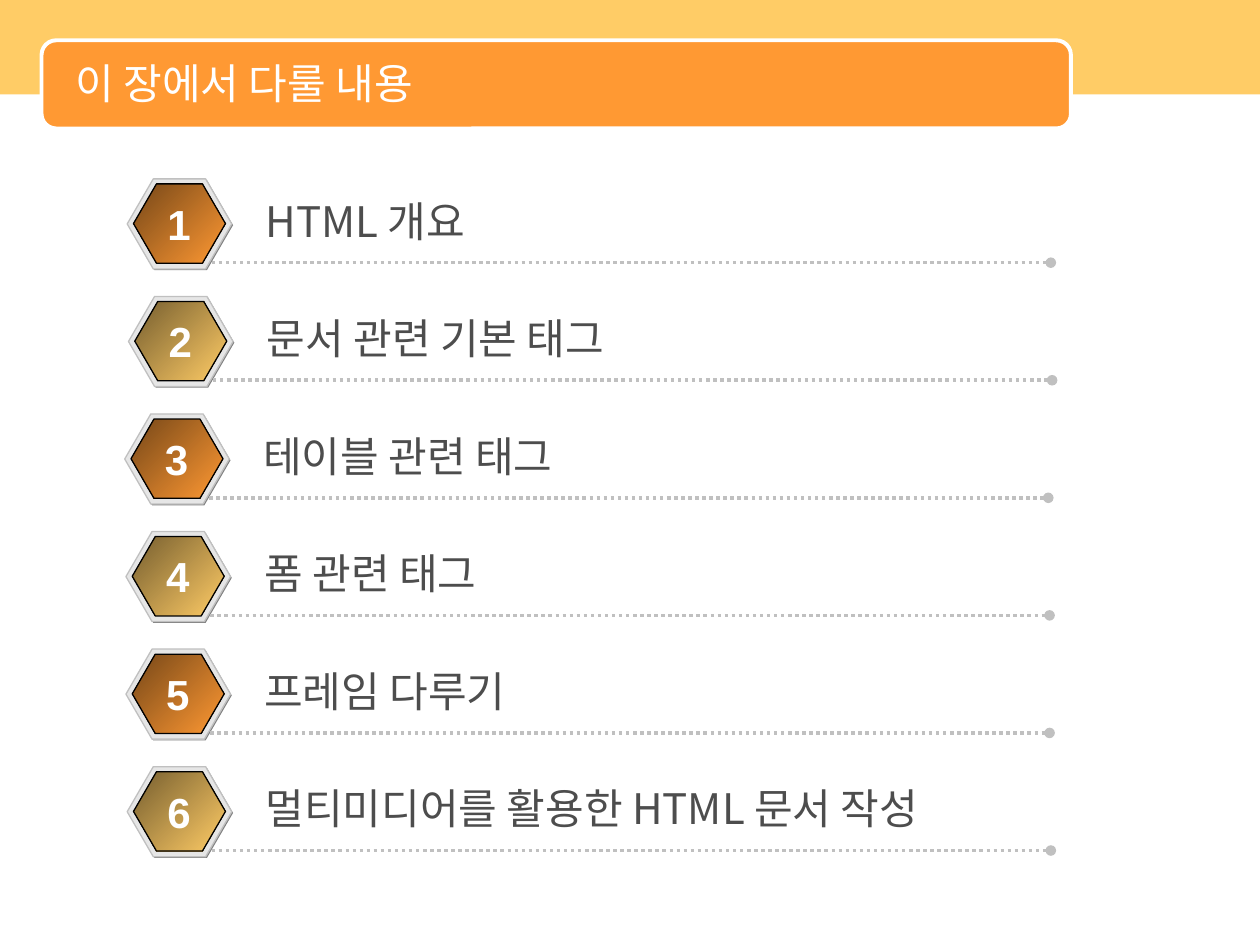
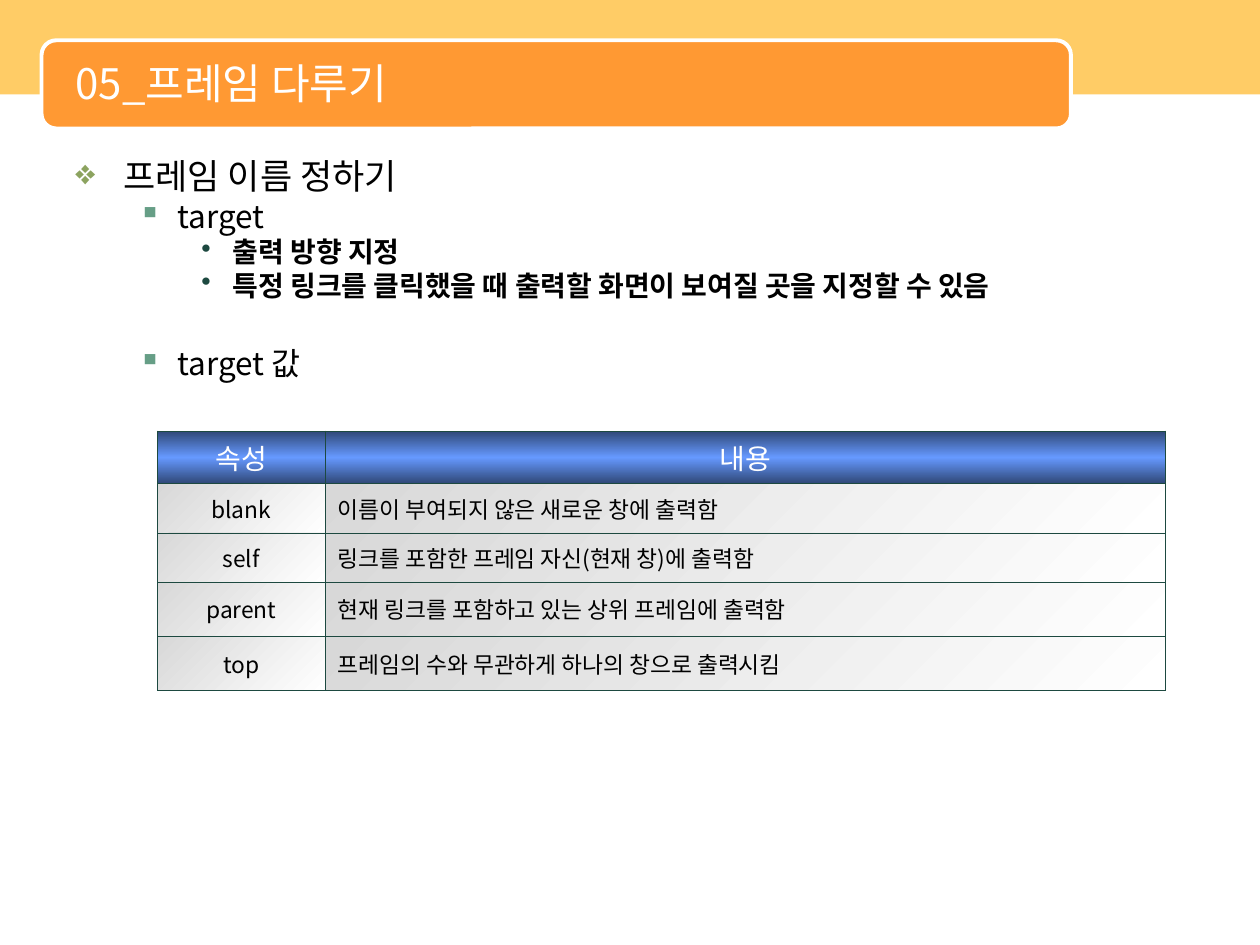
import pptx
import pptx.dml.color
import pptx.enum.dml
import pptx.enum.shapes
import pptx.enum.text
import pptx.oxml.ns
import pptx.util
from lxml import etree

COLS, ROWS = 100, 75
BODY_FONT, NUMBER_FONT = "Noto Sans CJK KR", "Arial"
WHITE, BLACK, SILVER = "FFFFFF", "000000", "C0C0C0"
YELLOW, ORANGE, GRAY_TEXT, BORDER = "FFCC66", "FF9933", "4D4D4D", "1D4940"
HEX_GRADIENTS = [("764718", ORANGE), ("765E2F", YELLOW)]
HEADER_GRADIENT = ("2F4776", "6699FF", "2F4776")
CELL_GRADIENT = ("D8D8D8", WHITE)

SHAPE = pptx.enum.shapes.MSO_SHAPE
ALIGN = pptx.enum.text.PP_ALIGN
MIDDLE = pptx.enum.text.MSO_ANCHOR.MIDDLE
qn = pptx.oxml.ns.qn

# level: (left margin, indent, bullet, bullet colour, text size, bold)
LEVELS = [
    (0.38, -0.38, "❖", "8CA35F", 20, False),
    (0.81, -0.31, "▪", "669E86", 18, False),
    (1.25, -0.25, "•", BORDER, 16, True),
]

# (topic, horizontal shift in columns)
TOPICS = [
    ("HTML 개요", 0),
    ("문서 관련 기본 태그", 0.1),
    ("테이블 관련 태그", -0.2),
    ("폼 관련 태그", -0.1),
    ("프레임 다루기", -0.1),
    ("멀티미디어를 활용한 HTML 문서 작성", 0),
]

# (level, text, points of space before)
FRAME_NOTES = [
    (0, "프레임 이름 정하기", 0),
    (1, "target", 0),
    (2, "출력 방향 지정", 0),
    (2, "특정 링크를 클릭했을 때 출력할 화면이 보여질 곳을 지정할 수 있음", 0),
    (1, "target 값", 24),
]

TARGET_VALUES = [
    ("속성", "내용"),
    ("blank", "이름이 부여되지 않은 새로운 창에 출력함"),
    ("self", "링크를 포함한 프레임 자신(현재 창)에 출력함"),
    ("parent", "현재 링크를 포함하고 있는 상위 프레임에 출력함"),
    ("top", "프레임의 수와 무관하게 하나의 창으로 출력시킴"),
]


def rgb(value):
    return pptx.dml.color.RGBColor.from_string(value)


def add_xml(parent, tag, **attrs):
    return etree.SubElement(parent, qn(tag), attrs)


def set_gradient(fill, element, colors, angle):
    """Fill with evenly spaced colours; angle runs clockwise."""
    fill.gradient()
    fill.gradient_angle = 360 - angle
    stops = next(element.iter(qn("a:gsLst")))
    for stop in list(stops):
        stops.remove(stop)
    for i, color in enumerate(colors):
        stop = add_xml(stops, "a:gs", pos=str(100000 * i // (len(colors) - 1)))
        add_xml(stop, "a:srgbClr", val=color)


def set_borders(cell, color, points):
    tc_pr = cell._tc.get_or_add_tcPr()
    for i, side in enumerate(("L", "R", "T", "B")):
        ln = add_xml(tc_pr, "a:ln" + side, w=str(pptx.util.Pt(points)))
        add_xml(add_xml(ln, "a:solidFill"), "a:srgbClr", val=color)
        tc_pr.insert(i, ln)


class Deck:
    def __init__(self):
        self.prs = pptx.Presentation()
        self.prs.slide_width = pptx.util.Inches(10)
        self.prs.slide_height = pptx.util.Inches(7.5)
        self.s = None

    def x(self, cols):
        return round(self.prs.slide_width * cols / COLS)

    def y(self, rows):
        return round(self.prs.slide_height * rows / ROWS)

    def box(self, left, top, width, height):
        return self.x(left), self.y(top), self.x(width), self.y(height)

    def style(self, p, size, color, bold=False, font=BODY_FONT, align=ALIGN.LEFT):
        p.alignment = align
        for r in p.runs:
            r.font.size = pptx.util.Pt(size)
            r.font.bold = bold
            r.font.color.rgb = rgb(color)
            r.font.name = font
            add_xml(r.font._element, "a:ea", typeface=font)

    def slide(self, title):
        """Start a slide with the shared bands and its title above them."""
        self.s = self.prs.slides.add_slide(self.prs.slide_layouts[5])
        self.shape(SHAPE.RECTANGLE, (0, 0, 100, 7.5), YELLOW)
        self.shape(SHAPE.ROUNDED_RECTANGLE, (3.3, 3.2, 81.7, 7), ORANGE, WHITE, 2.25)
        sp = self.s.shapes.title
        sp.left, sp.top, sp.width, sp.height = self.box(5, 3.5, 79.2, 6.2)
        tf = sp.text_frame
        tf.text = title
        tf.vertical_anchor = MIDDLE
        self.style(tf.paragraphs[0], 24, WHITE)
        sp.element.getparent().append(sp.element)

    def shape(self, kind, place, fill, line=None, points=0.75):
        """Add a preset shape; a tuple of colours as fill makes a gradient."""
        sp = self.s.shapes.add_shape(kind, *self.box(*place))
        sp.shadow.inherit = False
        if isinstance(fill, tuple):
            set_gradient(sp.fill, sp.element, fill, 45)
        else:
            sp.fill.solid()
            sp.fill.fore_color.rgb = rgb(fill)
        if line:
            sp.line.color.rgb = rgb(line)
            sp.line.width = pptx.util.Pt(points)
        else:
            sp.line.fill.background()
        return sp

    def hexagon(self, place, fill, line=None):
        self.shape(SHAPE.HEXAGON, place, fill, line).adjustments[0] = 0.29

    def text(self, place, text, wrap=True, **style):
        tf = self.s.shapes.add_textbox(*self.box(*place)).text_frame
        tf.word_wrap = wrap
        tf.text = text
        self.style(tf.paragraphs[0], **style)

    def dotted_line(self, left, right, top):
        cx = self.s.shapes.add_connector(
            pptx.enum.shapes.MSO_CONNECTOR.STRAIGHT,
            self.x(left), self.y(top), self.x(right), self.y(top))
        cx.line.color.rgb = rgb(SILVER)
        cx.line.width = pptx.util.Pt(2)
        cx.line.dash_style = pptx.enum.dml.MSO_LINE.ROUND_DOT
        add_xml(cx.line._get_or_add_ln(), "a:tailEnd", type="oval")
        add_xml(cx.element.spPr, "a:effectLst")

    def topic(self, number, text, left, top):
        """Add a numbered hexagon with its topic and dotted underline."""
        self.hexagon((left + 0.1, top + 0.1, 8.3, 7.15), "808080")
        self.hexagon((left, top, 8.3, 7.15), "E6E6E6", SILVER)
        gradient = HEX_GRADIENTS[(number - 1) % 2]
        self.hexagon((left + 0.5, top + 0.4, 7.3, 6.3), gradient, BLACK)
        self.dotted_line(left + 6.7, left + 73.3, top + 6.65)
        self.text((left + 10, top + 0.8, 63.3, 5), text, size=24, color=GRAY_TEXT)
        self.text((left + 2.2, top + 1.05, 3.8, 5), str(number), wrap=False, size=24,
                  color=WHITE, bold=True, font=NUMBER_FONT, align=ALIGN.CENTER)

    def bullets(self, place, items):
        tf = self.s.shapes.add_textbox(*self.box(*place)).text_frame
        tf.word_wrap = True
        for i, (level, text, space) in enumerate(items):
            margin, indent, char, color, size, bold = LEVELS[level]
            p = tf.add_paragraph() if i else tf.paragraphs[0]
            p.text = text
            p.level = level
            if space:
                p.space_before = pptx.util.Pt(space)
            p_pr = p._p.get_or_add_pPr()
            p_pr.set("marL", str(pptx.util.Inches(margin)))
            p_pr.set("indent", str(pptx.util.Inches(indent)))
            add_xml(add_xml(p_pr, "a:buClr"), "a:srgbClr", val=color)
            add_xml(p_pr, "a:buChar", char=char)
            self.style(p, size, BLACK, bold)

    def table(self, left, top, widths, heights, rows):
        place = self.box(left, top, sum(widths), sum(heights))
        table = self.s.shapes.add_table(len(rows), len(widths), *place).table
        table.horz_banding = False
        for column, width in zip(table.columns, widths):
            column.width = self.x(width)
        for i, (row, height) in enumerate(zip(rows, heights)):
            table.rows[i].height = self.y(height)
            for j, text in enumerate(row):
                cell = table.cell(i, j)
                cell.text = text
                cell.vertical_anchor = MIDDLE
                header = i == 0
                colors, angle = (HEADER_GRADIENT, 90) if header else (CELL_GRADIENT, 45)
                set_gradient(cell.fill, cell._tc, colors, angle)
                set_borders(cell, BORDER, 0.45)
                self.style(cell.text_frame.paragraphs[0], 16 if header else 13,
                           WHITE if header else BLACK,
                           align=ALIGN.CENTER if header or j == 0 else ALIGN.LEFT)


def main():
    deck = Deck()

    deck.slide("이 장에서 다룰 내용")
    for i, (text, shift) in enumerate(TOPICS):
        deck.topic(i + 1, text, 10.1 + shift, 14.2 + 9.33 * i)

    deck.slide("05_프레임 다루기")
    deck.bullets((5, 11.8, 90, 58.2), FRAME_NOTES)
    deck.table(12.5, 34.2, (13.3, 66.7), (4.2, 3.9, 3.9, 4.3, 4.3), TARGET_VALUES)

    deck.prs.save("out.pptx")


if __name__ == "__main__":
    main()
